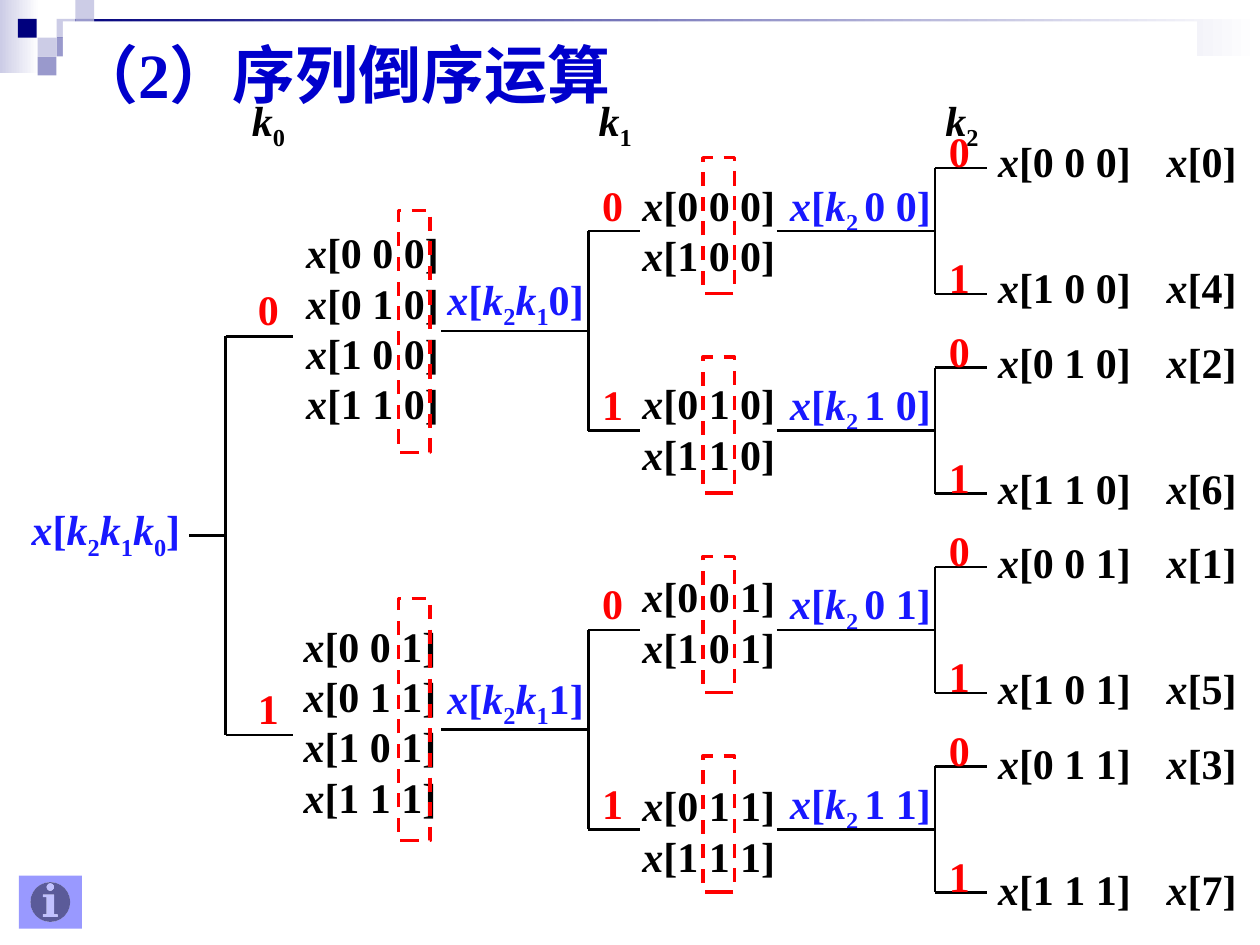
from dataclasses import dataclass
from itertools import groupby

from lxml import etree
from pptx import Presentation
from pptx.dml.color import RGBColor
from pptx.enum.dml import MSO_LINE
from pptx.enum.shapes import MSO_CONNECTOR, MSO_SHAPE
from pptx.enum.text import MSO_ANCHOR, MSO_AUTO_SIZE
from pptx.oxml.ns import qn
from pptx.util import Cm, Pt

RECTANGLE = MSO_SHAPE.RECTANGLE
INFORMATION = MSO_SHAPE.ACTION_BUTTON_INFORMATION
STRAIGHT = MSO_CONNECTOR.STRAIGHT
DASH = MSO_LINE.DASH
MIDDLE = MSO_ANCHOR.MIDDLE
FIT_SHAPE = MSO_AUTO_SIZE.SHAPE_TO_FIT_TEXT


@dataclass(frozen=True)
class Theme:
    font: str = "Times New Roman"
    title_size: float = 36
    body_size: float = 24
    branch_width: float = 1.5
    frame_width: float = 2
    title: str = "0000CC"
    ink: str = "000000"
    label: str = "1818FF"
    bit: str = "FF0000"
    paper: str = "FFFFFF"
    navy: str = "00007D"
    lilac: str = "CCCCE6"
    violet: str = "9999CC"
    button: str = "9999FF"


@dataclass(frozen=True)
class Area:
    left: float
    top: float
    width: float
    height: float

    def lengths(self) -> list:
        return [Cm(value) for value in (self.left, self.top, self.width, self.height)]


@dataclass(frozen=True)
class Fork:
    stem: float
    trunk: float
    tip: float
    top: float
    height: float


THEME = Theme()
QUARTER = 4.02
HALF = 2 * QUARTER
LEAF_GAP = 2.54
LINE_HEIGHT = 1.03
SUFFIXES = ("0 0", "1 0", "0 1", "1 1")
PAIR_TOPS = (3.61, 7.62, 11.51, 15.72)


def color(value: str) -> RGBColor:
    return RGBColor.from_string(value)


def style_font(para, size: float, ink: str) -> None:
    para.font.name = THEME.font
    para.font.size = Pt(size)
    para.font.bold = True
    para.font.color.rgb = color(ink)


def draw_shape(page, area: Area, fill: str, kind=RECTANGLE, fade: bool = False):
    shape = page.shapes.add_shape(kind, *area.lengths())
    shape.shadow.inherit = False
    shape.line.fill.background()
    if fade:
        shape.fill.gradient()
        shape.fill.gradient_angle = 0
        for stop, ink in zip(shape.fill.gradient_stops, (fill, THEME.paper)):
            stop.color.rgb = color(ink)
    else:
        shape.fill.solid()
        shape.fill.fore_color.rgb = color(fill)
    return shape


def draw_frame(page, area: Area) -> None:
    frame = page.shapes.add_shape(RECTANGLE, *area.lengths())
    frame.shadow.inherit = False
    frame.fill.background()
    frame.line.color.rgb = color(THEME.bit)
    frame.line.width = Pt(THEME.frame_width)
    frame.line.dash_style = DASH


def write_lines(page, left: float, top: float, width: float, lines: list[str],
                ink: str = THEME.ink) -> None:
    area = Area(left, top, width, LINE_HEIGHT * len(lines))
    box = page.shapes.add_textbox(*area.lengths())
    frame = box.text_frame
    frame.word_wrap = False
    frame.auto_size = FIT_SHAPE
    frame.margin_left = frame.margin_top = frame.margin_right = frame.margin_bottom = 0
    for index, line in enumerate(lines):
        para = frame.paragraphs[0] if index == 0 else frame.add_paragraph()
        style_font(para, THEME.body_size, ink)
        for position, piece in enumerate(line.replace("}", "{").split("{")):
            for italic, letters in groupby(piece, str.isalpha):
                span = para.add_run()
                span.text = "".join(letters)
                span.font.italic = italic
                if position % 2:
                    span._r.get_or_add_rPr().set("baseline", "-25000")


def draw_line(page, x1: float, y1: float, x2: float, y2: float) -> None:
    line = page.shapes.add_connector(STRAIGHT, Cm(x1), Cm(y1), Cm(x2), Cm(y2))
    line.line.color.rgb = color(THEME.ink)
    line.line.width = Pt(THEME.branch_width)
    etree.SubElement(line._element.spPr, qn("a:effectLst"))


def draw_fork(page, fork: Fork) -> None:
    bottom = fork.top + fork.height
    middle = fork.top + fork.height / 2
    draw_line(page, fork.stem, middle, fork.trunk, middle)
    draw_line(page, fork.trunk, fork.top, fork.trunk, bottom)
    for level in (fork.top, bottom):
        draw_line(page, fork.trunk, level, fork.tip, level)


def draw_bits(page, left: float, top: float, gap: float) -> None:
    for bit in range(2):
        write_lines(page, left, top + bit * gap, 0.43, [str(bit)], THEME.bit)


def draw_backdrop(page) -> None:
    draw_shape(page, Area(0, 0, 0.79, 1.47), THEME.lilac, fade=True)
    draw_shape(page, Area(1.14, 0.38, 24.26, 0.76), THEME.navy, fade=True)
    squares = ((1.14, 0.38, THEME.lilac), (1.52, 0, THEME.lilac), (1.52, 0.38, THEME.violet),
               (0.76, 0.76, THEME.lilac), (0.36, 0.38, THEME.navy), (1.14, 0.76, THEME.violet),
               (0.76, 1.14, THEME.violet))
    for left, top, fill in squares:
        draw_shape(page, Area(left, top, 0.38, 0.38), fill)


def draw_title(page) -> None:
    title = draw_shape(page, Area(1.27, 0.43, 22.86, 2.11), THEME.paper)
    title.text_frame.vertical_anchor = MIDDLE
    title.text_frame.word_wrap = True
    para = title.text_frame.paragraphs[0]
    para.alignment = 1
    style_font(para, THEME.title_size, THEME.title)
    para.add_run().text = "（2）序列倒序运算"


def draw_root(page) -> None:
    write_lines(page, 0.64, 10.16, 3.12, ["x[k{2}k{1}k{0}]"], THEME.label)
    draw_fork(page, Fork(3.81, 4.55, 5.91, 6.78, HALF))
    draw_bits(page, 5.2, 5.72, HALF)


def draw_half(page, index: int) -> None:
    shift = index * HALF
    words = [f"x[{suffix} {index}]" for suffix in ("0 0", "0 1", "1 0", "1 1")]
    write_lines(page, (6.17, 6.12)[index], (4.57, 12.5)[index], 2.72, words)
    draw_frame(page, Area(8.03, (4.24, 12.07)[index], 0.64, 4.88))
    write_lines(page, 9.02, 5.51 + shift, 2.84, [f"x[k{{2}}k{{1}}{index}]"], THEME.label)
    draw_fork(page, Fork(8.89, 11.86, 12.91, 4.66 + shift, QUARTER))
    draw_bits(page, 12.14, 3.61 + shift, QUARTER)


def draw_quarter(page, index: int, suffix: str) -> None:
    shift = index * QUARTER
    words = [f"{bit} {suffix}" for bit in range(2)]
    write_lines(page, 12.95, PAIR_TOPS[index], 2.72, [f"x[{word}]" for word in words])
    draw_frame(page, Area(14.17, 3.18 + shift, 0.64, 2.74))
    write_lines(page, 15.93, 3.61 + shift, 2.92, [f"x[k{{2 }}{suffix}]"], THEME.label)
    draw_fork(page, Fork(15.66, 18.85, 19.9, 3.39 + shift, LEAF_GAP))
    draw_bits(page, 19.13, 2.54 + shift, LEAF_GAP)
    for bit, word in enumerate(words):
        top = 2.74 + index * 4.04 + bit * LEAF_GAP
        write_lines(page, 20.12, top, 2.72, [f"x[{word}]"])
        write_lines(page, 23.52, top, 1.42, [f"x[{int(word.replace(' ', ''), 2)}]"])


def main() -> None:
    deck = Presentation()
    deck.slide_width, deck.slide_height = Cm(25.4), Cm(19.05)
    page = deck.slides.add_slide(deck.slide_layouts[6])
    draw_backdrop(page)
    draw_title(page)
    for level in range(3):
        write_lines(page, 5.08 + level * 6.99, 1.9, 0.68, [f"k{{{level}}}"])
    draw_root(page)
    for index in range(2):
        draw_half(page, index)
    for index, suffix in enumerate(SUFFIXES):
        draw_quarter(page, index, suffix)
    draw_shape(page, Area(0.38, 17.65, 1.27, 1.07), THEME.button, INFORMATION)
    deck.save("out.pptx")


if __name__ == "__main__":
    main()
